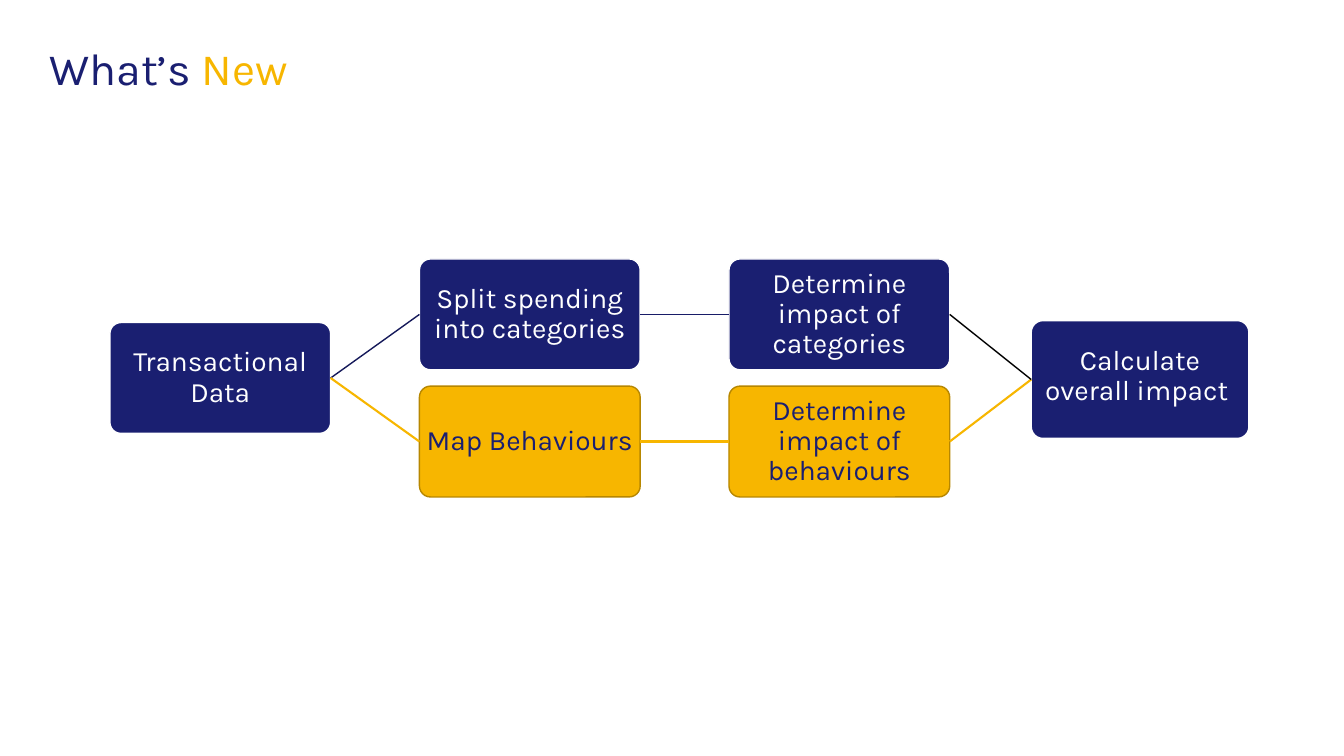
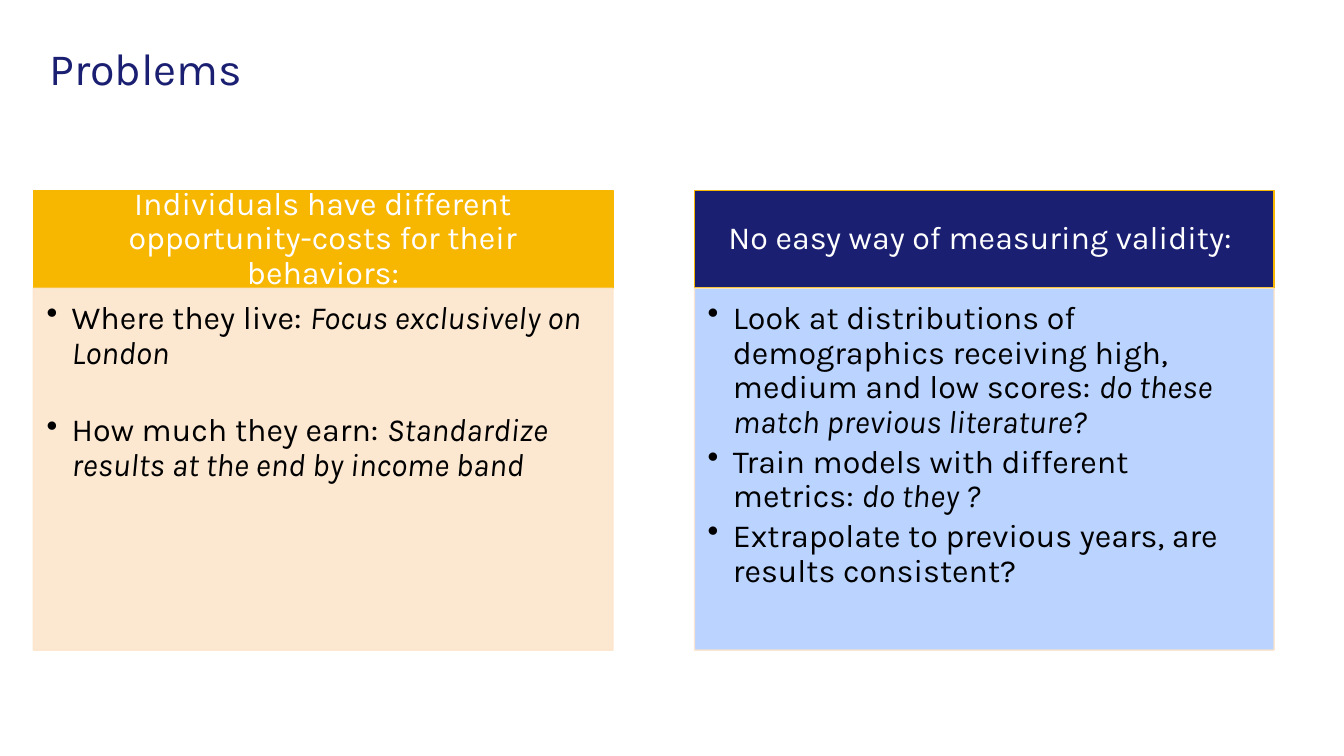
import lxml.etree
import pptx
import pptx.dml.color
import pptx.enum.shapes
import pptx.enum.text
import pptx.oxml.ns
import pptx.util

Pt = pptx.util.Pt
qn = pptx.oxml.ns.qn
SHAPES = pptx.enum.shapes.MSO_SHAPE
ALIGN = pptx.enum.text.PP_ALIGN
ANCHOR = pptx.enum.text.MSO_ANCHOR

# Shared style
FONT = "Karla"
NAVY, GOLD, WHITE, BLACK = "1A1F71", "F7B600", "FFFFFF", "000000"
DARK_GOLD, PEACH, SKY = "B78700", "FCE5CC", "BBD4FF"
LINE_SPACING = 0.9

# Flow content: name -> text, column, row (0.5 is halfway), highlighted
STEPS = {
    "data": ("Transactional Data", 0, 0.5, False),
    "split": ("Split spending into categories", 1, 0, False),
    "categories": ("Determine impact of categories", 2, 0, False),
    "map": ("Map Behaviours", 1, 1, True),
    "behaviours": ("Determine impact of behaviours", 2, 1, True),
}
STEP_LEFT, STEP_TOP, STEP_WIDTH, STEP_HEIGHT = 78.5, 185, 157.7, 79.2
COLUMN_PITCH, ROW_PITCH = 221.1, 90.8
RESULT_TEXT, RESULT_BOX = "Calculate overall impact ", (736.6, 229, 155.5, 84.2)
LINKS = [
    ("data", "split", "15195A", 1),
    ("split", "categories", "181C67", 1),
    ("data", "map", GOLD, 1.5),
    ("map", "behaviours", GOLD, 1.5),
    ("behaviours", "result", GOLD, 1.5),
    ("categories", "result", BLACK, 1),
]
LEFT_SITE, RIGHT_SITE = 1, 3

# Problem content: heading, heading fill, body fill, body opacity, gap between
# bullets, bullets as (plain, italic)
PROBLEMS = [
    ("Individuals have different opportunity-costs for their behaviors:",
     GOLD, PEACH, 90, 30.7,
     [("Where they live: ", "Focus exclusively on London"),
      ("How much they earn: ", "Standardize results at the end by income band")]),
    ("No easy way of measuring validity: ",
     NAVY, SKY, 100, 3.4,
     [("Look at distributions of demographics receiving high, medium and low scores: ",
       "do these match previous literature?"),
      ("Train models with different metrics: ", "do they ?"),
      ("Extrapolate to previous years, are results consistent?", "")]),
]
PANEL_LEFT, PANEL_TOP, PANEL_WIDTH, PANEL_PITCH = 23.8, 136.1, 414, 472.3
HEADING_HEIGHT, BODY_HEIGHT = 69.8, 258.5


def rgb(value):
    return pptx.dml.color.RGBColor.from_string(value)


def set_frame(frame, insets, anchor):
    frame.word_wrap = True
    frame.vertical_anchor = anchor
    frame.margin_left, frame.margin_top, frame.margin_right, frame.margin_bottom = map(Pt, insets)


def set_paragraph(paragraph, runs, size, color, align=ALIGN.LEFT):
    """Fill a paragraph with the run texts and return the runs."""
    paragraph.alignment = align
    paragraph.line_spacing = LINE_SPACING
    paragraph.font.name = FONT
    paragraph.font.size = Pt(size)
    paragraph.font.color.rgb = rgb(color)
    added = []
    for text in runs:
        run = paragraph.add_run()
        run.text = text
        added.append(run)
    return added


def set_opacity(fill_parent, percent):
    color = fill_parent.find(qn("a:solidFill")).find(qn("a:srgbClr"))
    lxml.etree.SubElement(color, qn("a:alpha"), val=str(percent * 1000))


def add_box(slide, kind, box, fill, line):
    shape = slide.shapes.add_shape(kind, *map(Pt, box))
    shape.shadow.inherit = False
    shape.fill.solid()
    shape.fill.fore_color.rgb = rgb(fill)
    shape.line.color.rgb = rgb(line)
    shape.line.width = Pt(1)
    return shape


def add_slide(presentation, title):
    """Add a blank slide with a title of (text, color) runs."""
    slide = presentation.slides.add_slide(presentation.slide_layouts[6])
    frame = slide.shapes.add_textbox(Pt(35.3), Pt(15.1), Pt(886.3), Pt(59.8)).text_frame
    set_frame(frame, (0, 0, 0, 7.2), ANCHOR.BOTTOM)
    runs = set_paragraph(frame.paragraphs[0], [text for text, _ in title], 32, NAVY)
    for run, (_, color) in zip(runs, title):
        run.font.color.rgb = rgb(color)
    return slide


def add_step(slide, text, box, highlighted=False, bottom_inset=0.7):
    fill, line, color = (GOLD, DARK_GOLD, NAVY) if highlighted else (NAVY, WHITE, WHITE)
    shape = add_box(slide, SHAPES.ROUNDED_RECTANGLE, box, fill, line)
    shape.adjustments[0] = 0.1
    set_frame(shape.text_frame, (0.7, 0.7, 0.7, bottom_inset), ANCHOR.MIDDLE)
    set_paragraph(shape.text_frame.paragraphs[0], [text], 20, color, ALIGN.CENTER)
    return shape


def add_link(slide, start, end, color, width):
    connector = slide.shapes.add_connector(
        pptx.enum.shapes.MSO_CONNECTOR.STRAIGHT, 0, 0, 0, 0)
    connector.begin_connect(start, RIGHT_SITE)
    connector.end_connect(end, LEFT_SITE)
    connector.line.color.rgb = rgb(color)
    connector.line.width = Pt(width)
    lxml.etree.SubElement(connector.element.spPr, qn("a:effectLst"))


def add_bullet(paragraph, plain, italic, gap):
    runs = set_paragraph(paragraph, [text for text in (plain, italic) if text], 23, BLACK)
    for run in runs[1:]:
        run.font.italic = True
    paragraph.space_after = Pt(gap)
    properties = paragraph._p.get_or_add_pPr()
    properties.set("marL", str(Pt(18)))
    properties.set("indent", str(-Pt(18)))
    bullet = lxml.etree.Element(qn("a:buChar"), char="•")
    properties.find(qn("a:defRPr")).addprevious(bullet)


def build_flow(presentation):
    slide = add_slide(presentation, [("What’s ", NAVY), ("New", GOLD)])
    shapes = {}
    for name, (text, column, row, highlighted) in STEPS.items():
        box = (STEP_LEFT + column * COLUMN_PITCH, STEP_TOP + row * ROW_PITCH,
               STEP_WIDTH, STEP_HEIGHT)
        shapes[name] = add_step(slide, text, box, highlighted)
    shapes["result"] = add_step(slide, RESULT_TEXT, RESULT_BOX, bottom_inset=5)
    for start, end, color, width in LINKS:
        add_link(slide, shapes[start], shapes[end], color, width)


def build_problems(presentation):
    slide = add_slide(presentation, [("Problems", NAVY)])
    for index, (heading, heading_fill, body_fill, opacity, gap, bullets) in enumerate(PROBLEMS):
        left = PANEL_LEFT + index * PANEL_PITCH

        # Heading band
        band = add_box(slide, SHAPES.RECTANGLE,
                       (left, PANEL_TOP, PANEL_WIDTH, HEADING_HEIGHT), heading_fill, GOLD)
        set_frame(band.text_frame, (13, 7.2, 13, 7.2), ANCHOR.MIDDLE)
        set_paragraph(band.text_frame.paragraphs[0], [heading], 23, WHITE, ALIGN.CENTER)

        # Bullet panel
        panel = add_box(slide, SHAPES.RECTANGLE,
                        (left, PANEL_TOP + HEADING_HEIGHT, PANEL_WIDTH, BODY_HEIGHT),
                        body_fill, PEACH)
        properties = panel.element.spPr
        set_opacity(properties, opacity)
        set_opacity(properties.find(qn("a:ln")), 90)
        frame = panel.text_frame
        set_frame(frame, (9.4, 9.4, 13, 14.4), ANCHOR.TOP)
        for number, (plain, italic) in enumerate(bullets):
            paragraph = frame.add_paragraph() if number else frame.paragraphs[0]
            add_bullet(paragraph, plain, italic, gap)


def main():
    presentation = pptx.Presentation()
    presentation.slide_width, presentation.slide_height = Pt(960), Pt(540)
    build_flow(presentation)
    build_problems(presentation)
    presentation.save("out.pptx")


if __name__ == "__main__":
    main()
